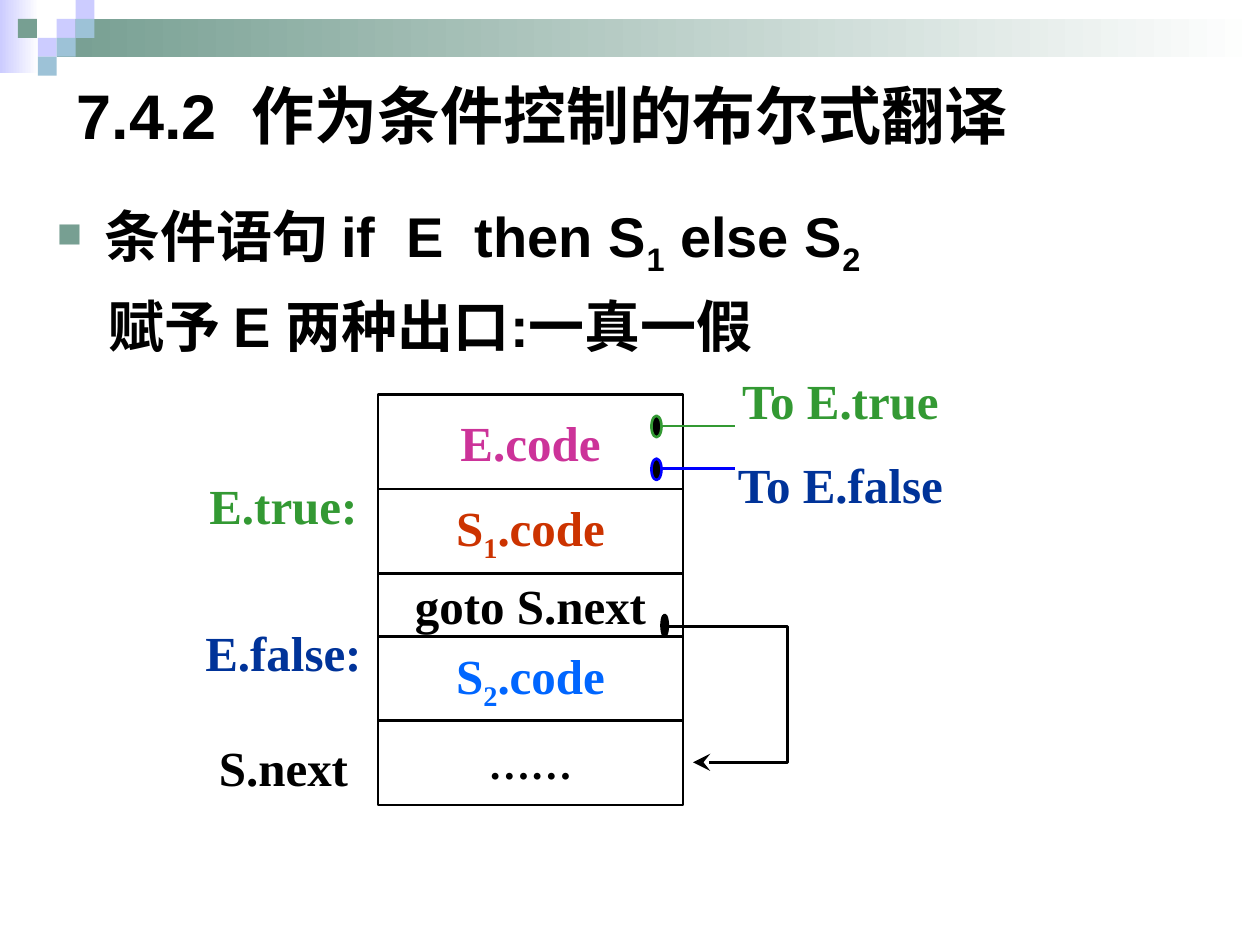
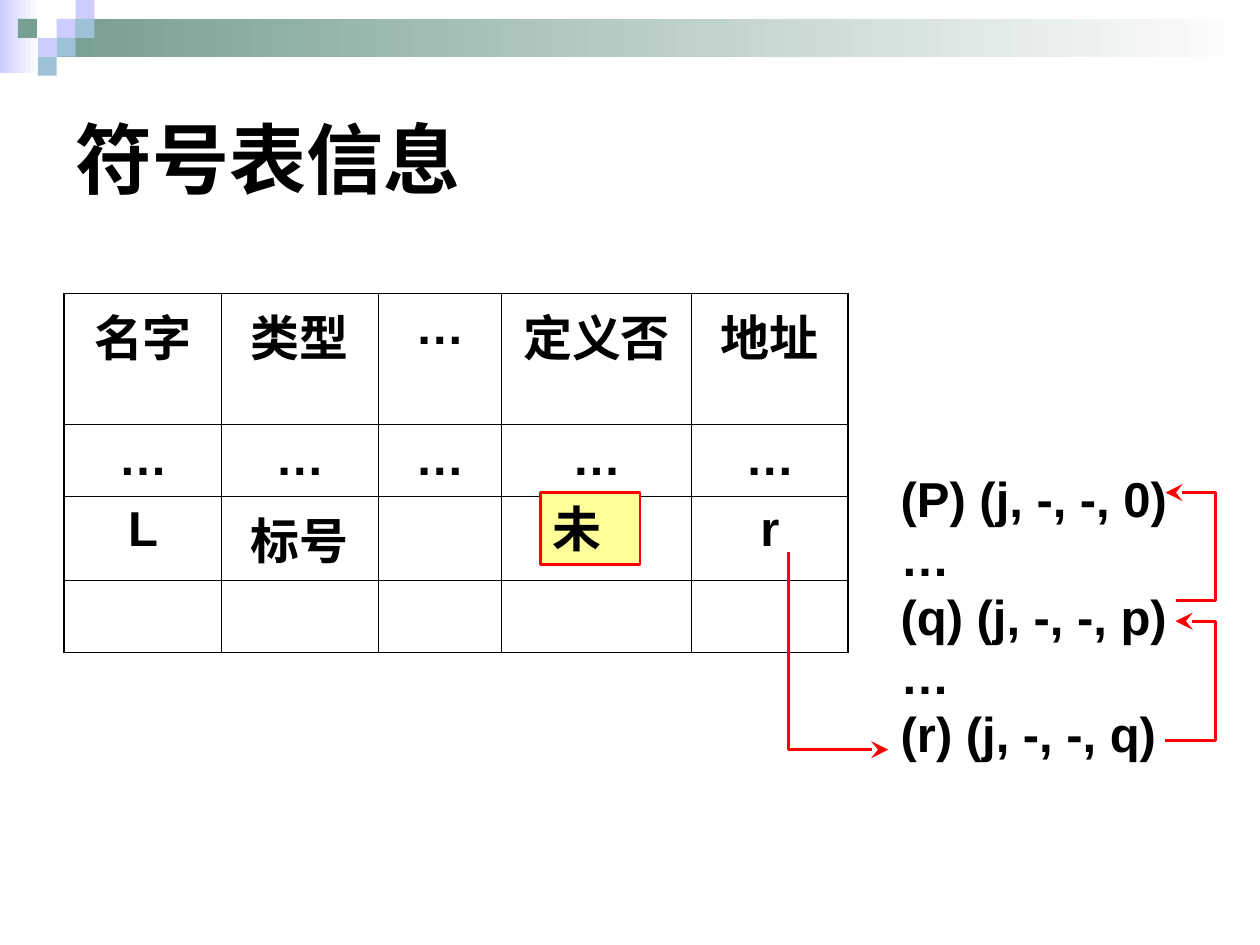
from dataclasses import dataclass

from lxml.etree import SubElement
from pptx import Presentation
from pptx.dml.color import RGBColor
from pptx.enum.shapes import MSO_CONNECTOR as Connector, MSO_SHAPE as Shape
from pptx.enum.text import MSO_ANCHOR as Anchor, PP_ALIGN as Align
from pptx.oxml.ns import qn
from pptx.util import Inches, Pt


@dataclass(frozen=True)
class Theme:
    sans: str = "Arial"
    serif: str = "Times New Roman"
    black: str = "000000"
    white: str = "FFFFFF"
    lavender: str = "CCCCFF"
    sage: str = "779F92"
    sky: str = "9DC2D7"
    magenta: str = "CC3399"
    rust: str = "CC3300"
    azure: str = "0066FF"
    green: str = "339933"
    navy: str = "003399"
    blue: str = "0000FF"
    red: str = "FF0000"
    yellow: str = "FFFF99"
    section_title: int = 36
    page_title: int = 44
    body: int = 32
    label: int = 28
    dots: int = 24
    rule: float = 1.5
    link: float = 1.75
    grid_outer: float = 1.08
    grid_inner: float = 0.45


THEME = Theme()


def rgb(value):
    return RGBColor.from_string(value)


def add_runs(paragraph, parts, size, color=THEME.black, family=THEME.sans):
    for index, part in enumerate(parts):
        run = paragraph.add_run()
        run.text = part
        run.font.name = family
        run.font.size = Pt(size)
        run.font.bold = True
        run.font.color.rgb = rgb(color)
        if index % 2:
            run.font._element.set("baseline", "-25000")


def add_box(slide, left, top, width, height, fill=None, line=None, weight=THEME.rule, kind=Shape.RECTANGLE):
    box = slide.shapes.add_shape(kind, Inches(left), Inches(top), Inches(width), Inches(height))
    box.shadow.inherit = False
    if fill:
        box.fill.solid()
        box.fill.fore_color.rgb = rgb(fill)
    else:
        box.fill.background()
    if line:
        box.line.color.rgb = rgb(line)
        box.line.width = Pt(weight)
    else:
        box.line.fill.background()
    return box


def add_fade(slide, left, top, width, height, color):
    band = add_box(slide, left, top, width, height)
    band.fill.gradient()
    band.fill.gradient_angle = 0
    for stop, shade in zip(band.fill.gradient_stops, (color, THEME.white)):
        stop.color.rgb = rgb(shade)


def add_text_frame(slide, left, top, width, height, anchor=Anchor.TOP):
    box = slide.shapes.add_textbox(Inches(left), Inches(top), Inches(width), Inches(height))
    frame = box.text_frame
    frame.word_wrap = True
    frame.vertical_anchor = anchor
    return frame


def add_label(frame, parts, size, color):
    frame.word_wrap = False
    frame.vertical_anchor = Anchor.MIDDLE
    paragraph = frame.paragraphs[0]
    paragraph.alignment = Align.CENTER
    add_runs(paragraph, parts, size, color, THEME.serif)


def add_path(slide, points, color, weight):
    corners = [(Inches(x), Inches(y)) for x, y in points]
    builder = slide.shapes.build_freeform(*corners[0])
    builder.add_line_segments(corners[1:], close=False)
    path_shape = builder.convert_to_shape()
    path_shape.shadow.inherit = False
    path_shape.fill.background()
    path_shape.line.color.rgb = rgb(color)
    path_shape.line.width = Pt(weight)
    SubElement(path_shape.line._get_or_add_ln(), qn("a:tailEnd"), type="stealth", w="lg", len="lg")


def header(slide, title, title_box, size):
    add_fade(slide, 0, 0, 0.31, 0.58, THEME.lavender)
    add_fade(slide, 0.45, 0.15, 9.55, 0.3, THEME.sage)
    unit = 0.15
    tiles = [
        (3, 1, THEME.lavender), (4, 0, THEME.lavender), (4, 1, THEME.sky),
        (2, 2, THEME.lavender), (0.95, 1, THEME.sage), (3, 2, THEME.sky),
        (2, 3, THEME.sky),
    ]
    for column, row, color in tiles:
        add_box(slide, column * unit, row * unit, unit, unit, color)
    frame = add_text_frame(slide, *title_box, anchor=Anchor.MIDDLE)
    add_runs(frame.paragraphs[0], [title], size)


def statement(slide, left, top, width, height):
    frame = add_text_frame(slide, left, top, width, height)
    rule, exits = frame.paragraphs[0], frame.add_paragraph()
    for paragraph, margin in ((rule, 0.38), (exits, 0.41)):
        paragraph.alignment = Align.JUSTIFY
        paragraph._p.get_or_add_pPr().set("marL", str(Inches(margin)))
    exits.space_before = Pt(8)
    properties = rule._p.get_or_add_pPr()
    properties.set("indent", str(-Inches(0.38)))
    bullet_color = SubElement(properties, qn("a:buClr"))
    SubElement(bullet_color, qn("a:srgbClr"), val=THEME.sage)
    SubElement(properties, qn("a:buSzPct"), val="62000")
    SubElement(properties, qn("a:buChar"), char="■")
    add_runs(rule, ["条件语句 if  E  then S", "1", " else S", "2"], THEME.body)
    add_runs(exits, ["赋予 E 两种出口:一真一假"], THEME.body)


def add_exit(slide, left, y, color):
    wire = slide.shapes.add_connector(
        Connector.STRAIGHT, Inches(left + 0.08), Inches(y), Inches(left + 0.66), Inches(y))
    wire.line.color.rgb = rgb(color)
    wire.line.width = Pt(THEME.rule)
    SubElement(wire._element.spPr, qn("a:effectLst"))
    add_box(slide, left, y - 0.08, 0.08, 0.17, THEME.black, color, kind=Shape.OVAL)


def code_layout(slide, left, top):
    width = 2.42
    blocks = [
        (0.75, ["E.code"], THEME.label, THEME.magenta),
        (0.67, ["S", "1", ".code"], THEME.label, THEME.rust),
        (0.5, ["goto S.next"], THEME.label, THEME.black),
        (0.67, ["S", "2", ".code"], THEME.label, THEME.azure),
        (0.67, ["……"], THEME.dots, THEME.black),
    ]
    block_top = top
    for height, parts, size, color in blocks:
        block = add_box(slide, left, block_top, width, height, line=THEME.black)
        add_label(block.text_frame, parts, size, color)
        block_top += height

    label_width = 2
    exit_center, entry_center = left + 3.67, left - 0.75
    labels = [
        ("To E.true", exit_center, -0.25, THEME.green),
        ("To E.false", exit_center, 0.42, THEME.navy),
        ("E.true:", entry_center, 0.59, THEME.green),
        ("E.false:", entry_center, 1.75, THEME.navy),
        ("S.next", entry_center, 2.67, THEME.black),
    ]
    for text, center, dy, color in labels:
        frame = add_text_frame(slide, center - label_width / 2, top + dy, label_width, 0.58)
        add_label(frame, [text], THEME.label, color)

    add_exit(slide, left + 2.17, top + 0.25, THEME.green)
    add_exit(slide, left + 2.17, top + 0.59, THEME.blue)

    jump, landing = top + 1.84, top + 2.92
    add_path(slide, [(left + 2.3, jump), (left + 3.25, jump),
                     (left + 3.25, landing), (left + 2.5, landing)], THEME.black, THEME.rule)
    add_box(slide, left + 2.25, jump - 0.09, 0.05, 0.17, THEME.black, THEME.black, kind=Shape.OVAL)


def add_borders(cell, outer_sides):
    properties = cell._tc.get_or_add_tcPr()
    for side in "LRTB":
        weight = THEME.grid_outer if side in outer_sides else THEME.grid_inner
        border = SubElement(properties, qn(f"a:ln{side}"), w=str(int(Pt(weight))))
        fill = SubElement(border, qn("a:solidFill"))
        SubElement(fill, qn("a:srgbClr"), val=THEME.black)


def symbol_table(slide, left, top):
    entries = [
        ["名字", "类型", "…", "定义否", "地址"],
        ["…"] * 5,
        ["L", "标号", "", "", "r"],
        [""] * 5,
    ]
    widths = [1.25, 1.24, 0.98, 1.51, 1.24]
    heights = [1.04, 0.57, 0.67, 0.57]
    last_row, last_column = len(heights) - 1, len(widths) - 1
    table = slide.shapes.add_table(
        len(heights), len(widths), Inches(left), Inches(top),
        Inches(sum(widths)), Inches(sum(heights))).table
    table.first_row = table.horz_banding = False
    for column, width in zip(table.columns, widths):
        column.width = Inches(width)
    for r, (row, height) in enumerate(zip(table.rows, heights)):
        row.height = Inches(height)
        for c, cell in enumerate(row.cells):
            edges = {"L": c == 0, "R": c == last_column, "T": r == 0, "B": r == last_row}
            add_borders(cell, [side for side, outer in edges.items() if outer])
            cell.fill.background()
            if entries[r][c]:
                paragraph = cell.text_frame.paragraphs[0]
                paragraph.alignment = Align.CENTER
                add_runs(paragraph, [entries[r][c]], THEME.label)

    undefined = add_box(slide, left + 3.78, top + 1.58, 0.79, 0.57, THEME.yellow, THEME.red)
    undefined.text_frame.vertical_anchor = Anchor.TOP
    paragraph = undefined.text_frame.paragraphs[0]
    paragraph.alignment = Align.LEFT
    add_runs(paragraph, ["未"], THEME.label)


def quadruple_chain(slide, left, top, width, height):
    frame = add_text_frame(slide, left, top, width, height)
    quadruples = ["(P) (j, -, -, 0)", "…", "(q) (j, -, -, p)", "…", "(r) (j, -, -, q)"]
    for index, quadruple in enumerate(quadruples):
        paragraph = frame.add_paragraph() if index else frame.paragraphs[0]
        add_runs(paragraph, [quadruple], THEME.label)

    links = [
        [(-0.79, 0.71), (-0.79, 2.28), (0, 2.28)],
        [(2.2, 2.21), (2.6, 2.21), (2.6, 1.26), (2.28, 1.26)],
        [(2.28, 1.1), (2.6, 1.1), (2.6, 0.24), (2.2, 0.24)],
    ]
    for link in links:
        add_path(slide, [(left + x, top + y) for x, y in link], THEME.red, THEME.link)


def main():
    deck = Presentation()
    deck.slide_width, deck.slide_height = Inches(10), Inches(7.5)
    blank = deck.slide_layouts[6]

    translation = deck.slides.add_slide(blank)
    header(translation, "7.4.2  作为条件控制的布尔式翻译", (0.51, 0.28, 8.67, 1.25), THEME.section_title)
    statement(translation, 0.35, 1.55, 8.65, 1.42)
    code_layout(translation, 3, 3.13)

    symbols = deck.slides.add_slide(blank)
    header(symbols, "符号表信息", (0.5, 0.5, 9, 1.5), THEME.page_title)
    symbol_table(symbols, 0.51, 2.33)
    quadruple_chain(symbols, 7.05, 3.67, 2.95, 2.9)

    deck.save("out.pptx")


if __name__ == "__main__":
    main()
